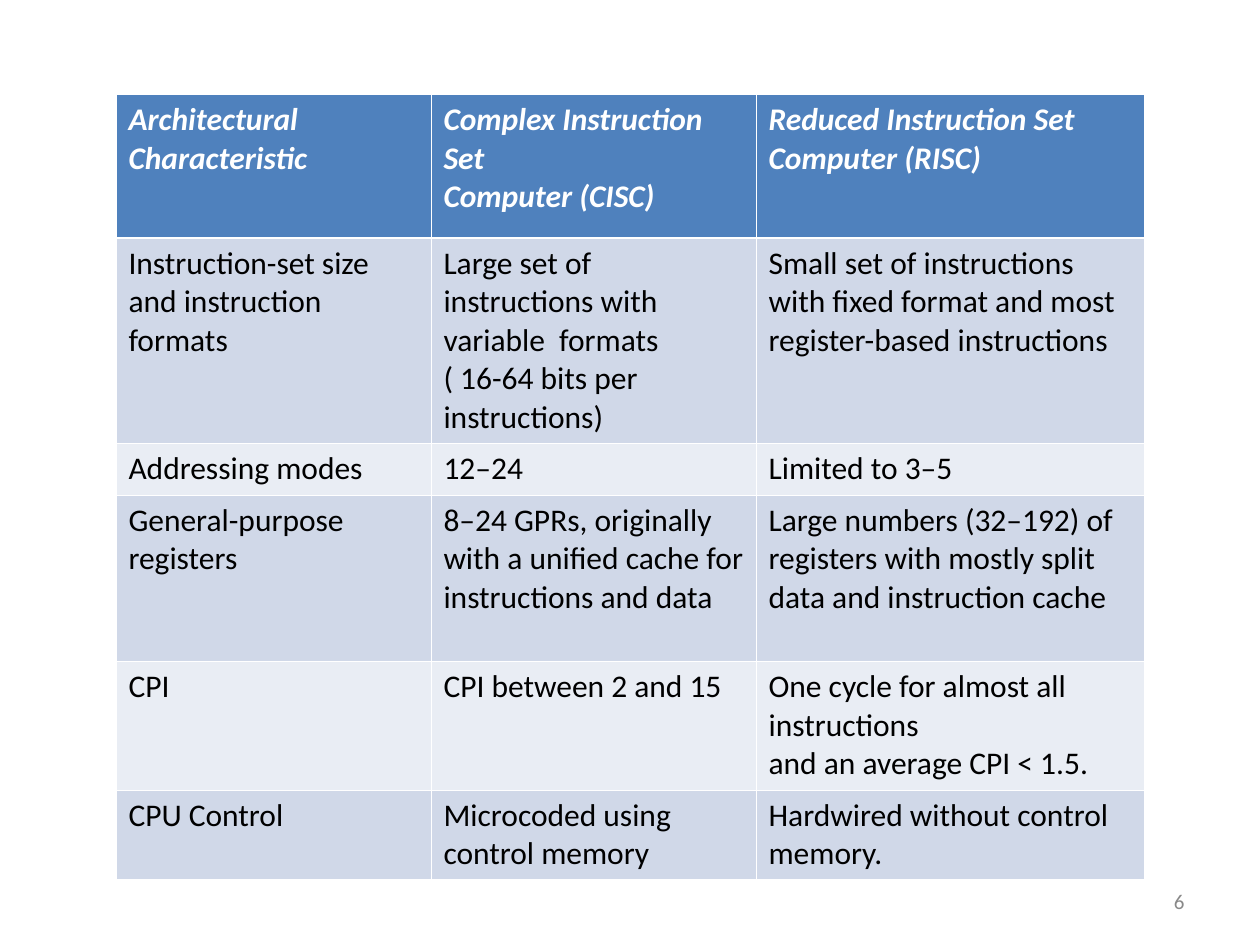
from pptx import Presentation
from pptx.dml.color import RGBColor as RGB
from pptx.enum.text import MSO_ANCHOR as ANCHOR, PP_ALIGN as ALIGN
from pptx.oxml.ns import qn
from pptx.util import Inches, Pt
from lxml.etree import SubElement

HEADER = [
    ["Architectural", "Characteristic"],
    ["Complex Instruction Set", "Computer (CISC)"],
    ["Reduced Instruction Set Computer (RISC)"],
]
ROWS = [
    [["Instruction-set size and instruction formats"],
     ["Large set of instructions with variable  formats", "( 16-64 bits per instructions)"],
     ["Small set of instructions with fixed format and most register-based instructions"]],
    [["Addressing modes"], ["12–24"], ["Limited to 3–5"]],
    [["General-purpose registers"],
     ["8–24 GPRs, originally with a unified cache for instructions and data"],
     ["Large numbers (32–192) of registers with mostly split data and instruction cache"]],
    [["CPI"], ["CPI between 2 and 15"],
     ["One cycle for almost all instructions", "and an average CPI < 1.5."]],
    [["CPU Control"], ["Microcoded using control memory"],
     ["Hardwired without control memory."]],
]
PAGE = "6"

THEME = {
    "font": "Calibri", "body": 18, "small": 12,
    "head_fill": "4F81BD", "bands": ["D0D8E8", "E9EDF4"],
    "head_text": "FFFFFF", "text": "000000", "muted": "898989",
    "rule": "FFFFFF", "thin": 0.45, "thick": 1.47,
}
COLS = [2.5, 2.58, 3.08]
HEIGHTS = [1.14, 1.63, 0.41, 1.32, 1.02, 0.71]
LEFT, TOP = 0.92, 0.75


def write(tf, lines, size=THEME["body"], color=THEME["text"], bold=False,
          italic=False, align=ALIGN.LEFT):
    tf.word_wrap = True
    for i, line in enumerate(lines):
        p = tf.paragraphs[0] if i == 0 else tf.add_paragraph()
        p.alignment = align
        r = p.add_run()
        r.text = line
        f = r.font
        f.name, f.size, f.bold, f.italic = THEME["font"], Pt(size), bold, italic
        f.color.rgb = RGB.from_string(color)


def set_borders(cell, **widths):
    tc_pr = cell._tc.get_or_add_tcPr()
    for side in "LRTB":
        ln = SubElement(tc_pr, qn(f"a:ln{side}"), w=str(Pt(widths.get(side, THEME["thin"]))))
        fill = SubElement(ln, qn("a:solidFill"))
        SubElement(fill, qn("a:srgbClr"), val=THEME["rule"])


def add_comparison(slide):
    grid = [HEADER] + ROWS
    frame = slide.shapes.add_table(len(grid), len(COLS), Inches(LEFT), Inches(TOP),
                                   Inches(sum(COLS)), Inches(sum(HEIGHTS)))
    table = frame.table
    for col, width in zip(table.columns, COLS):
        col.width = Inches(width)
    for row, height in zip(table.rows, HEIGHTS):
        row.height = Inches(height)
    for i, row in enumerate(grid):
        head = i == 0
        fill = THEME["head_fill"] if head else THEME["bands"][(i - 1) % 2]
        color = THEME["head_text"] if head else THEME["text"]
        edges = {0: {"B": THEME["thick"]}, 1: {"T": THEME["thick"]}}.get(i, {})
        for j, lines in enumerate(row):
            cell = table.cell(i, j)
            set_borders(cell, **edges)
            cell.fill.solid()
            cell.fill.fore_color.rgb = RGB.from_string(fill)
            write(cell.text_frame, lines, color=color, bold=head, italic=head)


def add_page_number(slide):
    sp = slide.shapes.add_textbox(Inches(7.17), Inches(6.95), Inches(2.33), Inches(0.4))
    tf = sp.text_frame
    tf.vertical_anchor = ANCHOR.MIDDLE
    write(tf, [PAGE], size=THEME["small"], color=THEME["muted"], align=ALIGN.RIGHT)


def main():
    prs = Presentation()
    prs.slide_width, prs.slide_height = Inches(10), Inches(7.5)
    slide = prs.slides.add_slide(prs.slide_layouts[6])
    add_comparison(slide)
    add_page_number(slide)
    prs.save("out.pptx")


if __name__ == "__main__":
    main()
